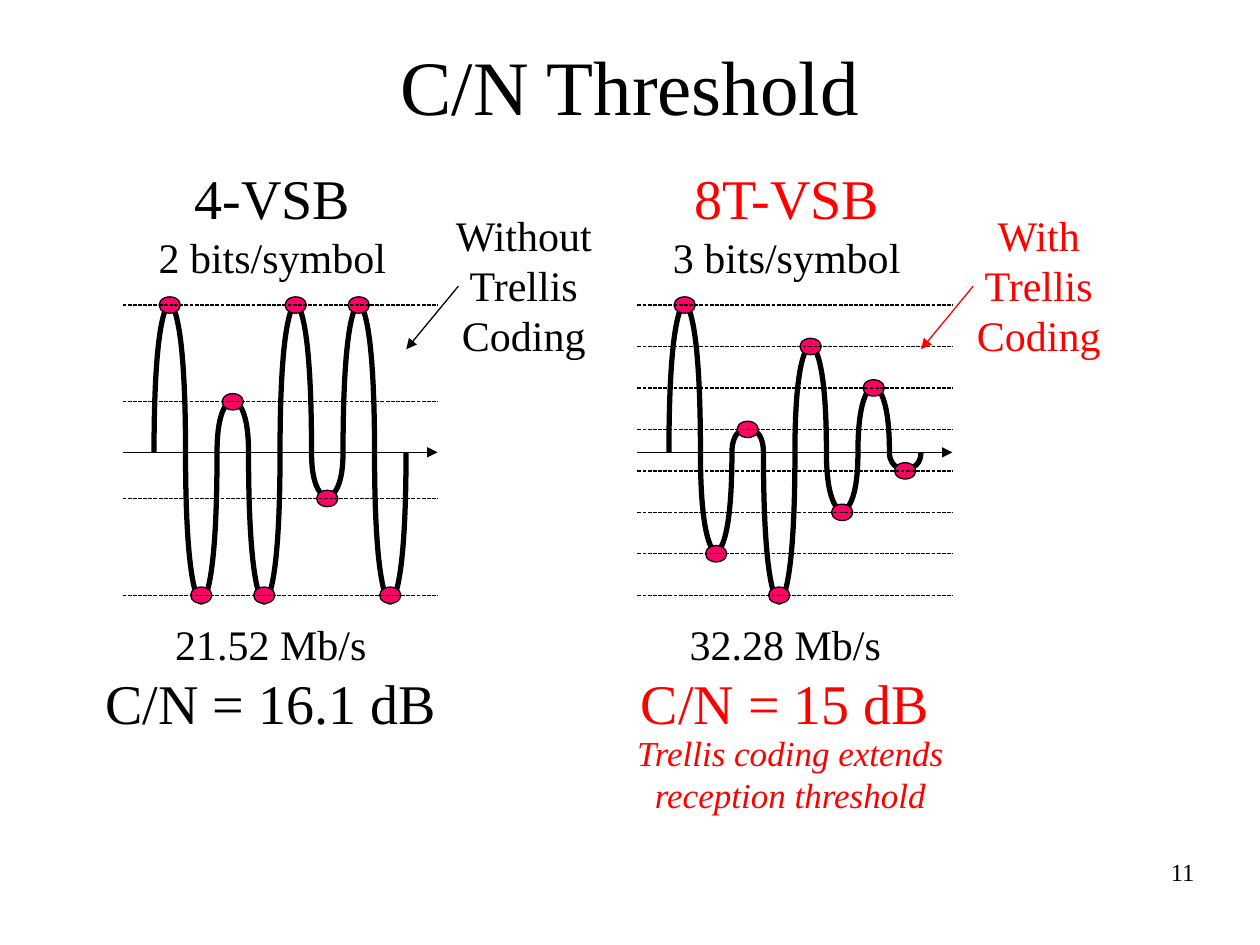
from dataclasses import dataclass

from lxml.etree import SubElement
from pptx import Presentation
from pptx.dml.color import RGBColor
from pptx.enum.dml import MSO_LINE_DASH_STYLE as Dash
from pptx.enum.shapes import MSO_CONNECTOR_TYPE as ConnectorType
from pptx.enum.shapes import MSO_SHAPE as Preset
from pptx.enum.text import MSO_ANCHOR as Anchor
from pptx.enum.text import MSO_AUTO_SIZE as AutoSize
from pptx.enum.text import PP_ALIGN as Align
from pptx.oxml.ns import qn
from pptx.util import Cm, Pt

BLACK = RGBColor(0x00, 0x00, 0x00)
RED = RGBColor(0xFF, 0x00, 0x00)
PINK = RGBColor(0xFF, 0x00, 0x66)
FONT = "Times New Roman"

# Geometry of a signal diagram, in centimetres
AXIS_Y = 9.12
AXIS_LENGTH = 6.35
SYMBOL_WIDTH = AXIS_LENGTH / 10
TOP_LEVEL, BOTTOM_LEVEL = 6.15, 12.0
LOWEST_TROUGH = 12.14
DOT_WIDTH, DOT_HEIGHT = 0.43, 0.33


@dataclass
class Line:
    text: str
    size: int = 24
    color: RGBColor = BLACK
    italic: bool = False


@dataclass
class Label:
    left: float
    top: float
    width: float
    height: float
    lines: list[Line]
    align: Align = Align.CENTER
    wrap: bool = False


@dataclass
class Signal:
    left: float
    level_count: int
    symbols: list[int]  # level of each symbol, counted from the top
    color: RGBColor  # of the pointer

    def level_y(self, level: int) -> float:
        step = (BOTTOM_LEVEL - TOP_LEVEL) / (self.level_count - 1)
        return TOP_LEVEL + level * step


SIGNALS = [
    Signal(2.47, 4, [0, 3, 1, 3, 0, 2, 0, 3], BLACK),
    Signal(12.85, 8, [0, 6, 3, 7, 1, 5, 2, 4], RED),
]

LABELS = [
    Label(1.73, 12.34, 7.46, 2.64,
          [Line("21.52 Mb/s"), Line("C/N = 16.1 dB", 32)]),
    Label(2.8, 3.18, 5.38, 2.64,
          [Line("4-VSB", 32), Line("2 bits/symbol")]),
    Label(12.52, 12.34, 6.62, 2.64,
          [Line("32.28 Mb/s"), Line("C/N = 15 dB", 32, RED)]),
    Label(13.17, 3.18, 5.38, 2.64,
          [Line("8T-VSB", 32, RED), Line("3 bits/symbol")]),
    Label(8.77, 4.09, 3.58, 3.3,
          [Line(word) for word in ("Without", "Trellis", "Coding")]),
    Label(19.29, 4.09, 3.3, 3.3,
          [Line(word, color=RED) for word in ("With", "Trellis", "Coding")]),
    Label(11.86, 14.63, 8.15, 1.96,
          [Line("Trellis coding extends", 20, RED, True),
           Line("reception threshold", 20, RED, True)], wrap=True),
    Label(19.05, 17.15, 5.28, 1.27, [Line("11", 14)], Align.RIGHT, True),
]


def write_line(paragraph, line: Line, align: Align) -> None:
    paragraph.text = line.text
    paragraph.alignment = align
    paragraph.line_spacing = Pt(1.2 * line.size)
    font = paragraph.font
    font.name = FONT
    font.size = Pt(line.size)
    font.italic = line.italic
    font.color.rgb = line.color


def add_label(slide, label: Label) -> None:
    box = slide.shapes.add_textbox(Cm(label.left), Cm(label.top),
                                   Cm(label.width), Cm(label.height))
    frame = box.text_frame
    frame.word_wrap = label.wrap
    frame.auto_size = AutoSize.SHAPE_TO_FIT_TEXT
    for index, line in enumerate(label.lines):
        paragraph = frame.add_paragraph() if index else frame.paragraphs[0]
        write_line(paragraph, line, label.align)


def add_line(shapes, start: tuple[float, float], end: tuple[float, float],
             color: RGBColor = BLACK, arrow: bool = False):
    connector = shapes.add_connector(ConnectorType.STRAIGHT, Cm(start[0]),
                                     Cm(start[1]), Cm(end[0]), Cm(end[1]))
    connector.line.color.rgb = color
    connector.line.width = Pt(0.75)
    if arrow:
        SubElement(connector.line._get_or_add_ln(), qn("a:tailEnd"),
                   type="triangle")
    SubElement(connector._element.spPr, qn("a:effectLst"))
    return connector


def add_half_wave(shapes, left: float, peak: float) -> None:
    """Draw two Bezier curves, from the axis to the peak and back."""
    middle, right = left + SYMBOL_WIDTH / 2, left + SYMBOL_WIDTH
    controls = [(left, peak), (middle, peak), (middle, peak),
                (middle, peak), (right, peak), (right, AXIS_Y)]
    builder = shapes.build_freeform(Cm(left), Cm(AXIS_Y))
    builder.add_line_segments([(Cm(x), Cm(y)) for x, y in controls],
                              close=False)
    wave = builder.convert_to_shape()
    wave.shadow.inherit = False
    wave.fill.background()
    wave.line.color.rgb = BLACK
    wave.line.width = Pt(3)

    # Turn every three straight segments into one cubic curve
    outline = wave._element.spPr.find(".//" + qn("a:path"))
    segments = outline.findall(qn("a:lnTo"))
    for first in range(0, len(segments), 3):
        curve = SubElement(outline, qn("a:cubicBezTo"))
        for segment in segments[first:first + 3]:
            curve.append(segment[0])
            outline.remove(segment)


def add_dot(shapes, x: float, y: float) -> None:
    dot = shapes.add_shape(Preset.OVAL, Cm(x - DOT_WIDTH / 2),
                           Cm(y - DOT_HEIGHT / 2), Cm(DOT_WIDTH),
                           Cm(DOT_HEIGHT))
    dot.shadow.inherit = False
    dot.fill.solid()
    dot.fill.fore_color.rgb = PINK
    dot.line.color.rgb = BLACK
    dot.line.width = Pt(0.75)


def add_signal(slide, signal: Signal) -> None:
    shapes = slide.shapes.add_group_shape().shapes
    right = signal.left + AXIS_LENGTH
    add_line(shapes, (signal.left, AXIS_Y), (right, AXIS_Y), arrow=True)

    starts = [signal.left + SYMBOL_WIDTH * (index + 1)
              for index in range(len(signal.symbols))]
    for start, level in zip(starts, signal.symbols):
        lowest = level == signal.level_count - 1
        peak = LOWEST_TROUGH if lowest else signal.level_y(level) - 0.03
        add_half_wave(shapes, start, peak)
    for start, level in zip(starts, signal.symbols):
        add_dot(shapes, start + SYMBOL_WIDTH / 2, signal.level_y(level))
    for level in range(signal.level_count):
        y = signal.level_y(level)
        level_line = add_line(shapes, (signal.left, y), (right, y))
        level_line.line.dash_style = Dash.SQUARE_DOT

    add_line(slide.shapes, (signal.left + 6.77, 5.77),
             (signal.left + 5.72, 7.04), signal.color, arrow=True)


def main() -> None:
    presentation = Presentation()
    presentation.slide_width, presentation.slide_height = Cm(25.4), Cm(19.05)
    slide = presentation.slides.add_slide(presentation.slide_layouts[5])

    title = slide.shapes.title
    title.left, title.top = Cm(1.9), Cm(0.85)
    title.width, title.height = Cm(21.6), Cm(1.7)
    title.text_frame.auto_size = AutoSize.NONE
    title.text_frame.vertical_anchor = Anchor.MIDDLE
    write_line(title.text_frame.paragraphs[0], Line("C/N Threshold", 44),
               Align.CENTER)

    for signal in SIGNALS:
        add_signal(slide, signal)
    for label in LABELS:
        add_label(slide, label)
    presentation.save("out.pptx")


if __name__ == "__main__":
    main()
